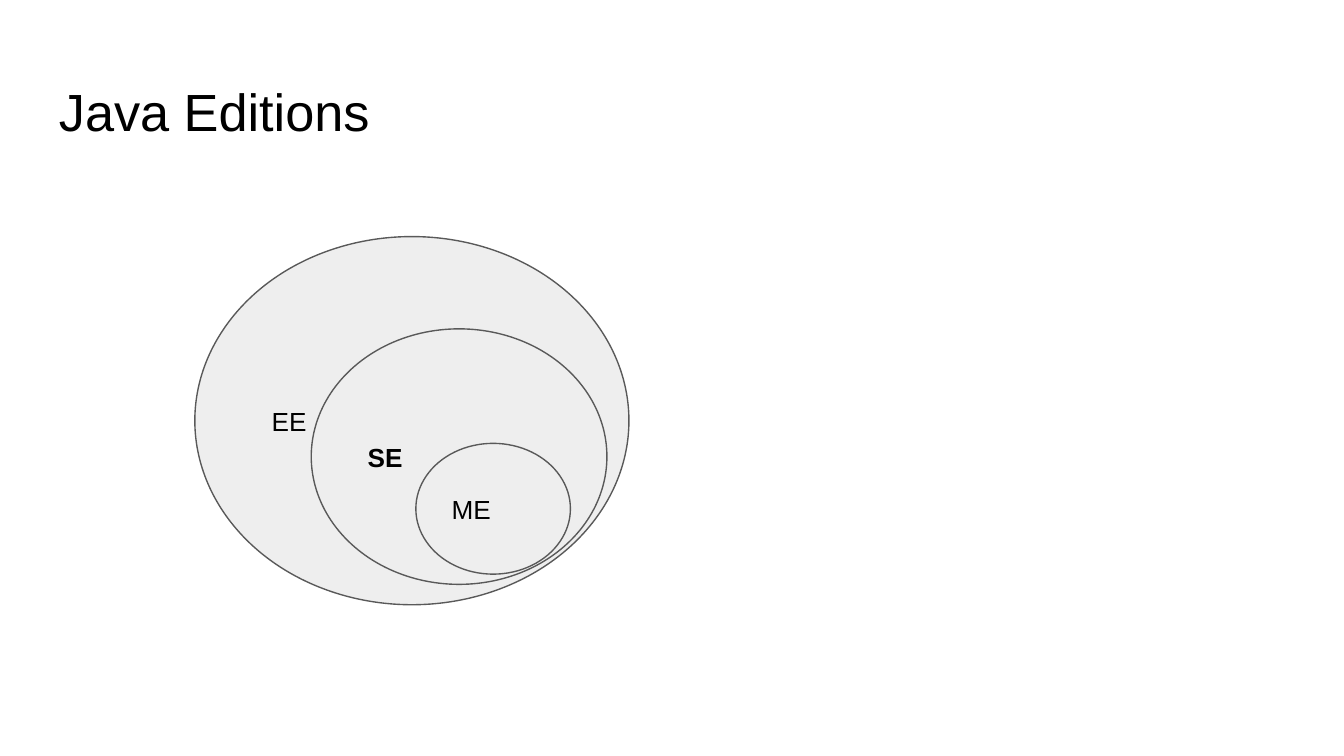
"""Build the Java Editions slide: three nested ellipses under a title."""
from pptx import Presentation, util as u
from pptx.dml.color import RGBColor
from pptx.enum import shapes, text

BLACK = RGBColor(0x00, 0x00, 0x00)
PALE = RGBColor(0xEE, 0xEE, 0xEE)
GREY = RGBColor(0x59, 0x59, 0x59)

deck = Presentation()
deck.slide_width = u.Inches(10)
deck.slide_height = deck.slide_width * 9 // 16
slide = deck.slides.add_slide(deck.slide_layouts[6])


def place(*shares):
    """Turn percent shares of the slide into left, top, width, height."""
    sides = (deck.slide_width, deck.slide_height) * 2
    return [round(side * share / 100) for side, share in zip(sides, shares)]


def write(shape, label, size, bold, anchor):
    """Put one left-aligned label into a shape."""
    frame = shape.text_frame
    pad = u.Inches(0.1)
    form = dict(word_wrap=True, vertical_anchor=anchor, margin_left=pad,
                margin_top=pad, margin_right=pad, margin_bottom=pad)
    for key, value in form.items():
        setattr(frame, key, value)
    para = frame.paragraphs[0]
    para.alignment = text.PP_ALIGN.LEFT
    run = para.add_run()
    run.text = label
    for key, value in dict(name="Arial", size=u.Pt(size), bold=bold).items():
        setattr(run.font, key, value)
    run.font.color.rgb = BLACK


title = slide.shapes.add_textbox(*place(3.41, 8.65, 93.18, 11.13))
write(title, "Java Editions", 28, False, text.MSO_ANCHOR.TOP)

rings = [
    ("EE", False, (14.5, 31.3, 32.3, 48.7)),
    ("SE", True, (23.16, 43.5, 22, 33.8)),
    ("ME", False, (30.94, 58.65, 11.5, 17.3)),
]
for label, bold, box in rings:
    ring = slide.shapes.add_shape(shapes.MSO_SHAPE.OVAL, *place(*box))
    ring.shadow.inherit = False
    ring.fill.solid()
    ring.fill.fore_color.rgb = PALE
    ring.line.color.rgb = GREY
    ring.line.width = u.Pt(0.75)
    write(ring, label, 14, bold, text.MSO_ANCHOR.MIDDLE)

deck.save("out.pptx")
